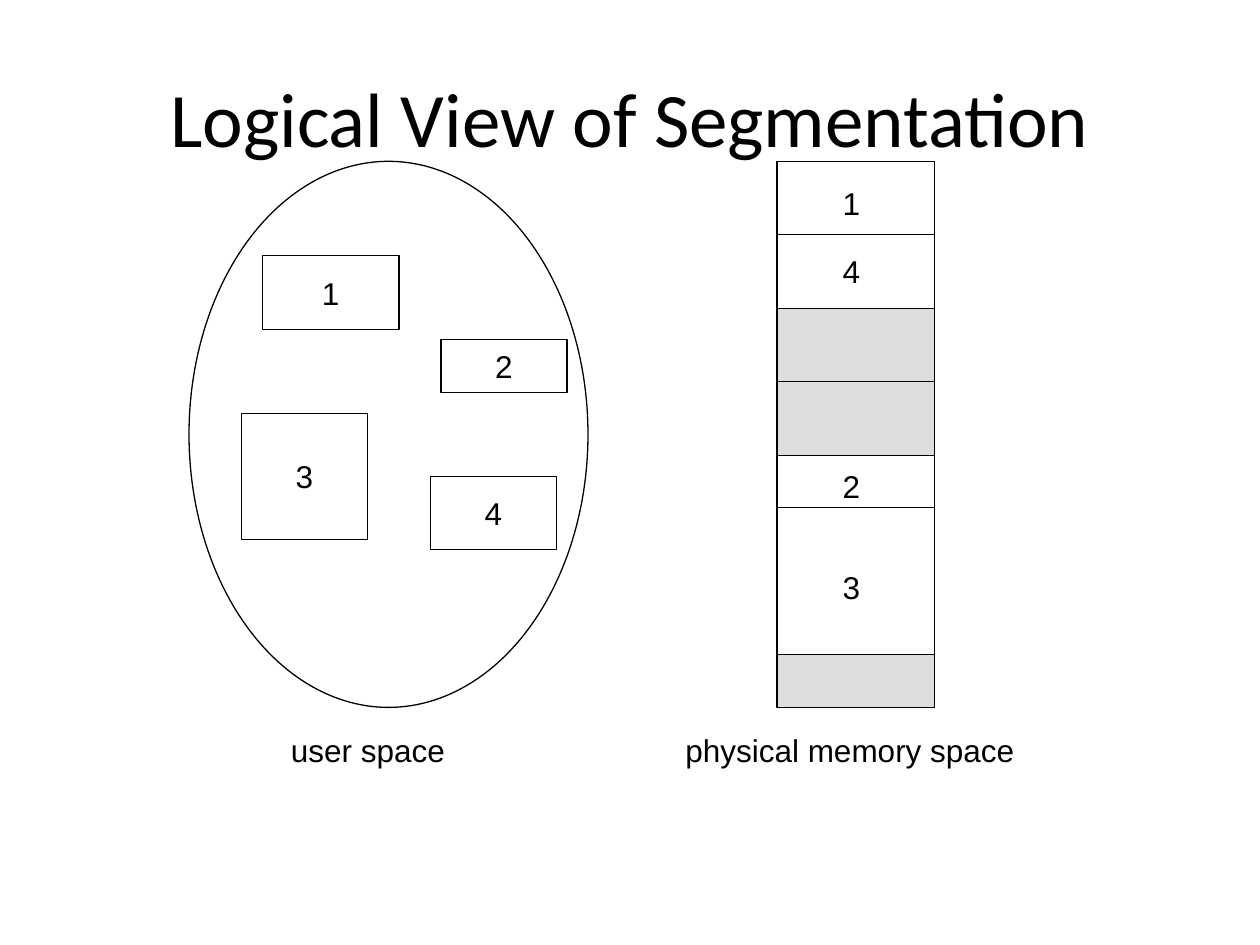
"""Build a slide showing segments in user space and in physical memory."""
from lxml.etree import SubElement
from pptx import Presentation
from pptx.dml.color import RGBColor
from pptx.enum.shapes import MSO_CONNECTOR as Connector, MSO_SHAPE as Shape
from pptx.enum.text import MSO_ANCHOR as Anchor, PP_ALIGN as Align
from pptx.oxml.ns import qn
from pptx.util import Pt

COLORS = {"ink": "000000", "white": "FFFFFF", "grey": "DDDDDD"}
TITLE = ("Logical View of Segmentation", (36, 21.6, 648, 90))
USER_SPACE = (108, 92.2, 228, 312)
USER_SEGMENTS = [
    ("1", (150, 146.2, 78, 42)),
    ("3", (138, 236.2, 72, 72)),
    ("2", (252, 194.2, 72, 30)),
    ("4", (246, 272.2, 72, 42)),
]
MEMORY_LEFT, MEMORY_TOP, MEMORY_WIDTH = 444, 92.2, 90
MEMORY_AREAS = [
    ("white", [42, 42]),
    ("grey", [42, 42]),
    ("white", [30, 84]),
    ("grey", [30]),
]
LABEL_LEFT, LABEL_WIDTH, LABEL_HEIGHT = 474.2, 24.5, 28.8
MEMORY_LABELS = [("1", 101.5), ("4", 140.4), ("2", 263.5), ("3", 321.2)]
CAPTIONS = [
    ("user space ", (159.1, 414, 107.3, 28.8)),
    ("physical memory space", (384.5, 414, 202.3, 28.8)),
]


def color(name):
    return RGBColor.from_string(COLORS[name])


def write(box, text, size=18, font="Arial", wrap=False):
    frame = box.text_frame
    frame.word_wrap = wrap
    frame.vertical_anchor = Anchor.MIDDLE
    para = frame.paragraphs[0]
    para.alignment = Align.CENTER
    span = para.add_run()
    span.text = text
    span.font.size = Pt(size)
    span.font.name = font
    span.font.color.rgb = color("ink")


def add_text(shapes, text, place, **style):
    box = shapes.add_textbox(*map(Pt, place))
    write(box, text, **style)


def outline(item):
    item.line.color.rgb = color("ink")
    item.line.width = Pt(0.75)


def add_block(shapes, place, fill="white", kind=Shape.RECTANGLE, text=""):
    block = shapes.add_shape(kind, *map(Pt, place))
    block.shadow.inherit = False
    block.fill.solid()
    block.fill.fore_color.rgb = color(fill)
    outline(block)
    if text:
        write(block, text)


def add_divider(shapes, left, right, y):
    line = shapes.add_connector(Connector.STRAIGHT, Pt(left), Pt(y), Pt(right), Pt(y))
    outline(line)
    SubElement(line._element.spPr, qn("a:effectLst"))


def add_memory(shapes):
    top = MEMORY_TOP
    for fill, heights in MEMORY_AREAS:
        add_block(shapes, (MEMORY_LEFT, top, MEMORY_WIDTH, sum(heights)), fill)
        for height in heights[:-1]:
            add_divider(shapes, MEMORY_LEFT, MEMORY_LEFT + MEMORY_WIDTH, top + height)
        top += sum(heights)
    for text, label_top in MEMORY_LABELS:
        add_text(shapes, text, (LABEL_LEFT, label_top, LABEL_WIDTH, LABEL_HEIGHT))


def main():
    deck = Presentation()
    deck.slide_width, deck.slide_height = Pt(720), Pt(540)
    page = deck.slides.add_slide(deck.slide_layouts[6])
    add_text(page.shapes, *TITLE, size=44, font="Calibri", wrap=True)
    add_block(page.shapes, USER_SPACE, kind=Shape.OVAL)
    for text, place in USER_SEGMENTS:
        add_block(page.shapes, place, text=text)
    add_memory(page.shapes.add_group_shape().shapes)
    for text, place in CAPTIONS:
        add_text(page.shapes, text, place)
    deck.save("out.pptx")


if __name__ == "__main__":
    main()
